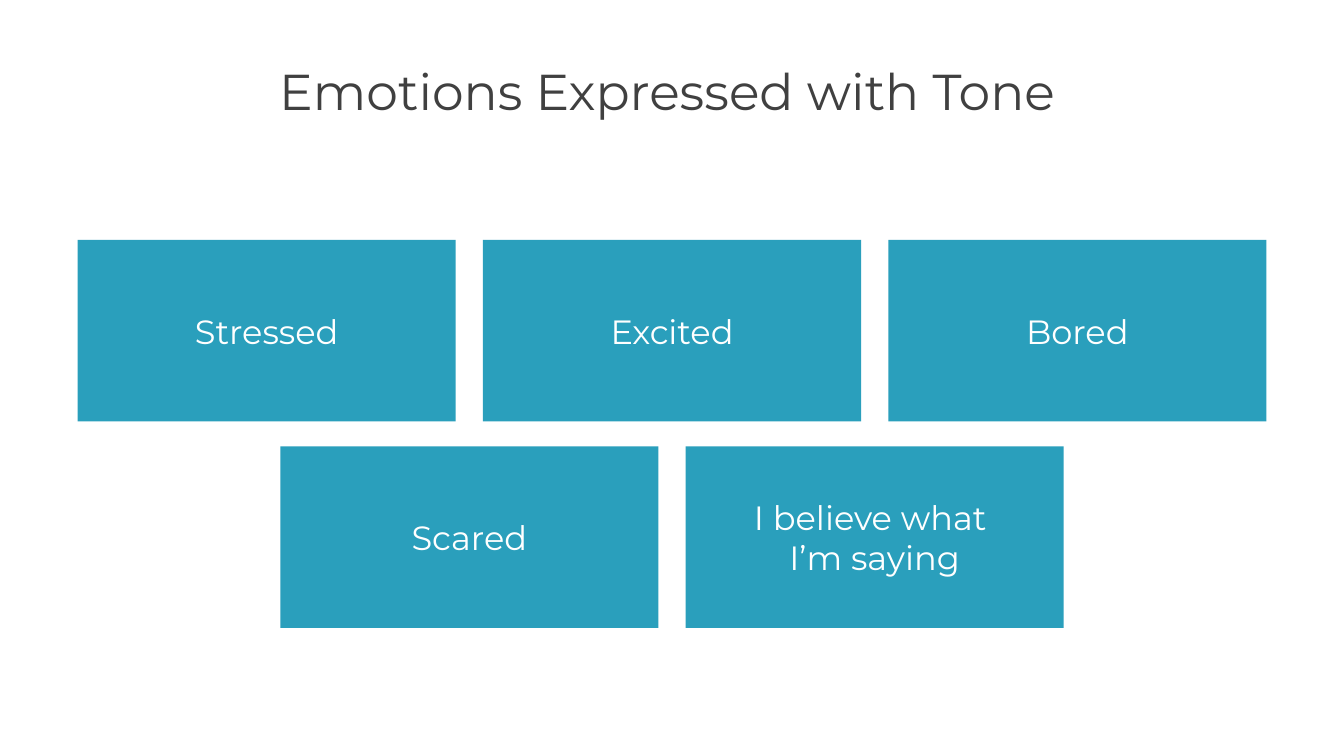
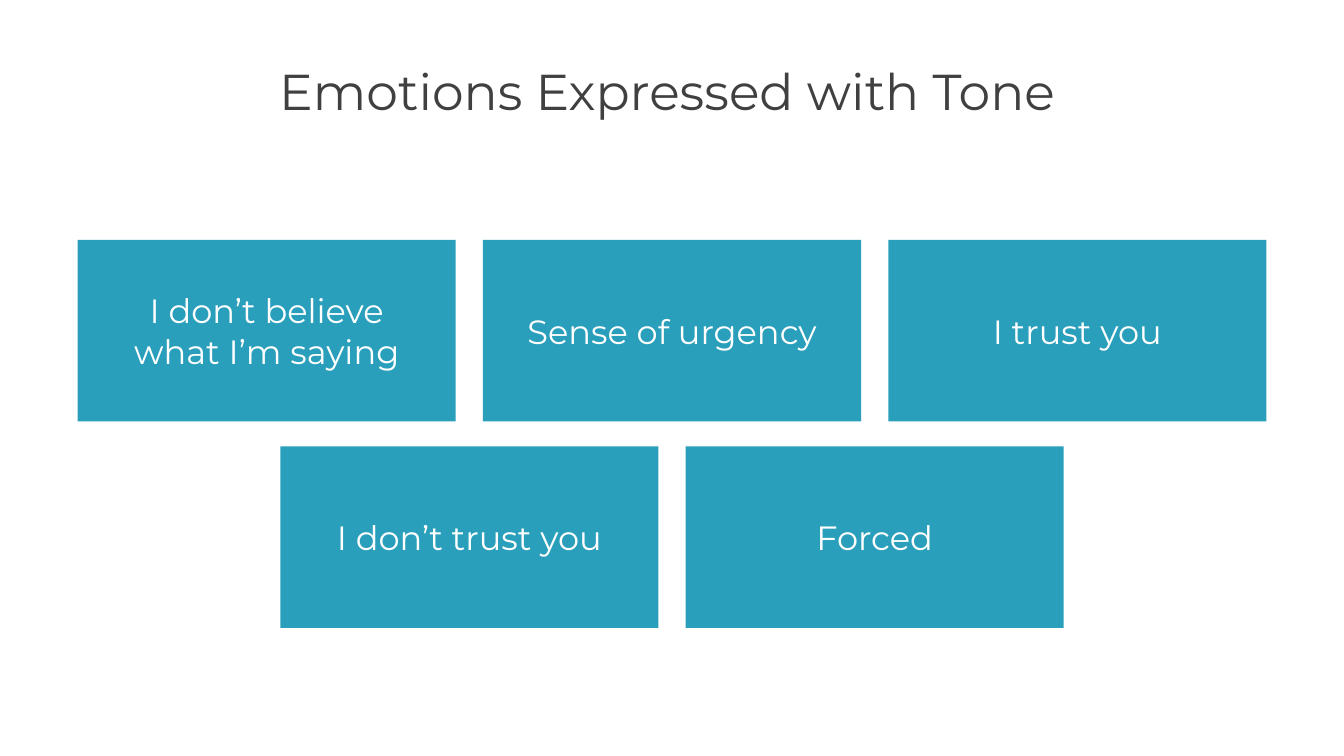
from pptx import Presentation
from pptx.dml.color import RGBColor
from pptx.enum.shapes import MSO_SHAPE
from pptx.enum.text import MSO_ANCHOR, PP_ALIGN
from pptx.util import Inches, Pt

TITLE = "Emotions Expressed with Tone"
# Each slide lists its rows of emotion cards
SLIDES = [
    [["Stressed", "Excited", "Bored"],
     ["Scared", "I believe what \nI’m saying"]],
    [["I don’t believe what I’m saying", "Sense of urgency", "I trust you"],
     ["I don’t trust you", "Forced"]],
]

# Card grid, in inches
GRID_LEFT, GRID_TOP, GRID_WIDTH = 0.77, 2.38, 11.79
CARD_WIDTH, CARD_HEIGHT = 3.75, 1.8
COLUMN_GAP, ROW_GAP = 0.27, 0.25


def color(hex_value):
    return RGBColor.from_string(hex_value)


class Deck:
    """Shared style and the slide being built."""

    FONT = "Montserrat"
    TITLE_COLOR, CARD_FILL, CARD_TEXT = "404040", "2A9FBC", "FFFFFF"

    def __init__(self):
        self.presentation = Presentation()
        self.presentation.slide_width = Inches(13.33)
        self.presentation.slide_height = Inches(7.5)
        self.slide = None

    def add_slide(self):
        blank_layout = self.presentation.slide_layouts[6]
        self.slide = self.presentation.slides.add_slide(blank_layout)

    def set_text(self, shape, text, size, text_color, margins, anchor, spacing=1.0):
        frame = shape.text_frame
        left, top, right, bottom = map(Inches, margins)
        frame_format = {
            "word_wrap": True, "vertical_anchor": anchor,
            "margin_left": left, "margin_top": top,
            "margin_right": right, "margin_bottom": bottom,
        }
        for name, value in frame_format.items():
            setattr(frame, name, value)
        paragraph = frame.paragraphs[0]
        paragraph.text = text
        paragraph.alignment = PP_ALIGN.CENTER
        paragraph.line_spacing = spacing
        for run in paragraph.runs:
            for name, value in {"name": self.FONT, "size": Pt(size)}.items():
                setattr(run.font, name, value)
            run.font.color.rgb = color(text_color)

    def title(self, text):
        box = self.slide.shapes.add_textbox(
            Inches(GRID_LEFT), Inches(0.64), Inches(GRID_WIDTH), Inches(0.48))
        self.set_text(box, text, 36, self.TITLE_COLOR, (0, 0.05, 0.1, 0.05),
                      MSO_ANCHOR.TOP, spacing=0.85)

    def card(self, text, left, top):
        card = self.slide.shapes.add_shape(
            MSO_SHAPE.RECTANGLE, Inches(left), Inches(top),
            Inches(CARD_WIDTH), Inches(CARD_HEIGHT))
        card.shadow.inherit = False
        card.fill.solid()
        card.fill.fore_color.rgb = color(self.CARD_FILL)
        card.line.fill.background()
        self.set_text(card, text, 24, self.CARD_TEXT, (0.3,) * 4, MSO_ANCHOR.MIDDLE)

    def card_rows(self, rows):
        # Every row is centred within the grid width
        pitch = CARD_WIDTH + COLUMN_GAP
        for row_index, row in enumerate(rows):
            row_width = len(row) * pitch - COLUMN_GAP
            row_left = GRID_LEFT + (GRID_WIDTH - row_width) / 2
            top = GRID_TOP + row_index * (CARD_HEIGHT + ROW_GAP)
            for column, text in enumerate(row):
                self.card(text, row_left + column * pitch, top)


def main():
    deck = Deck()
    for rows in SLIDES:
        deck.add_slide()
        deck.title(TITLE)
        deck.card_rows(rows)
    deck.presentation.save("out.pptx")


if __name__ == "__main__":
    main()
